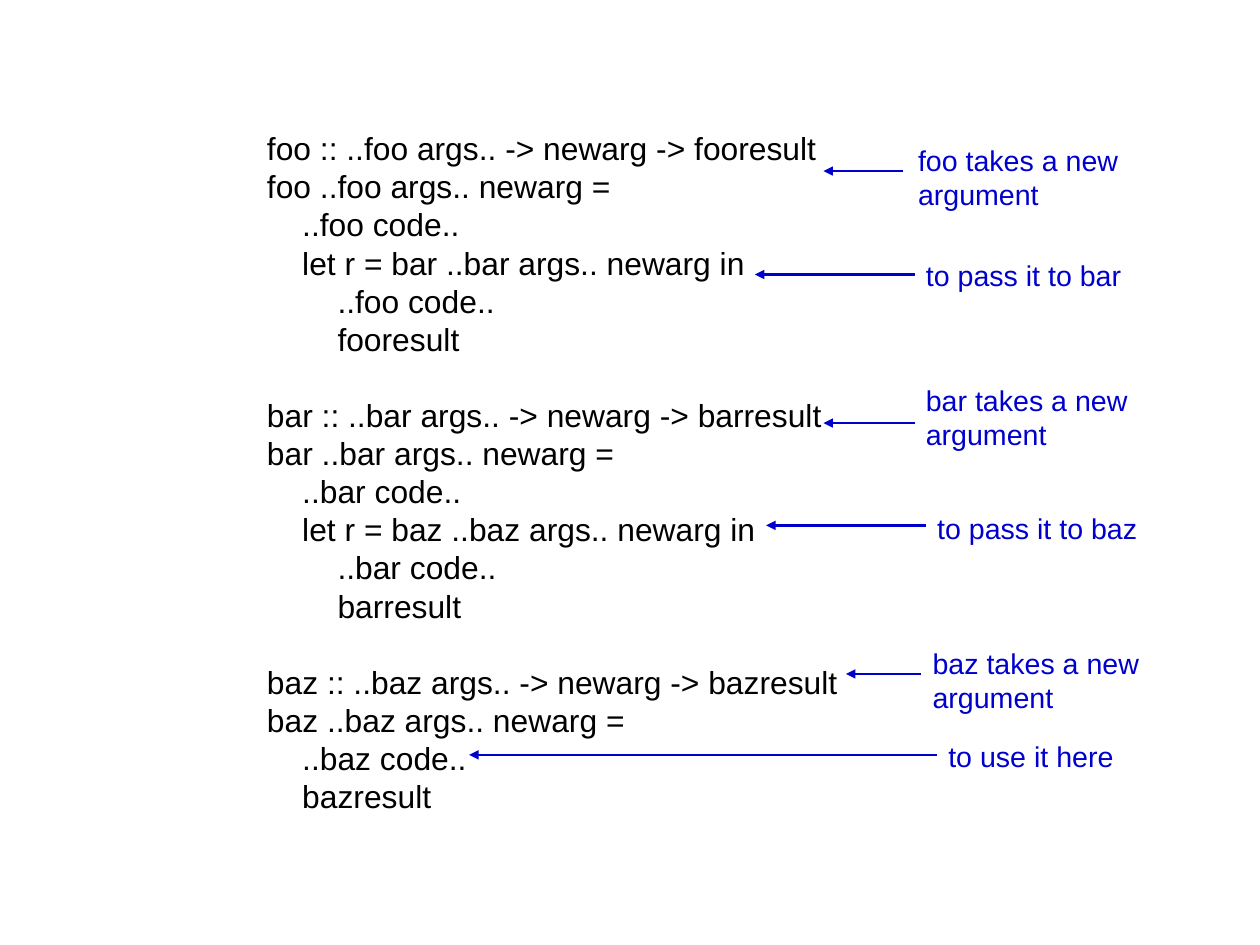
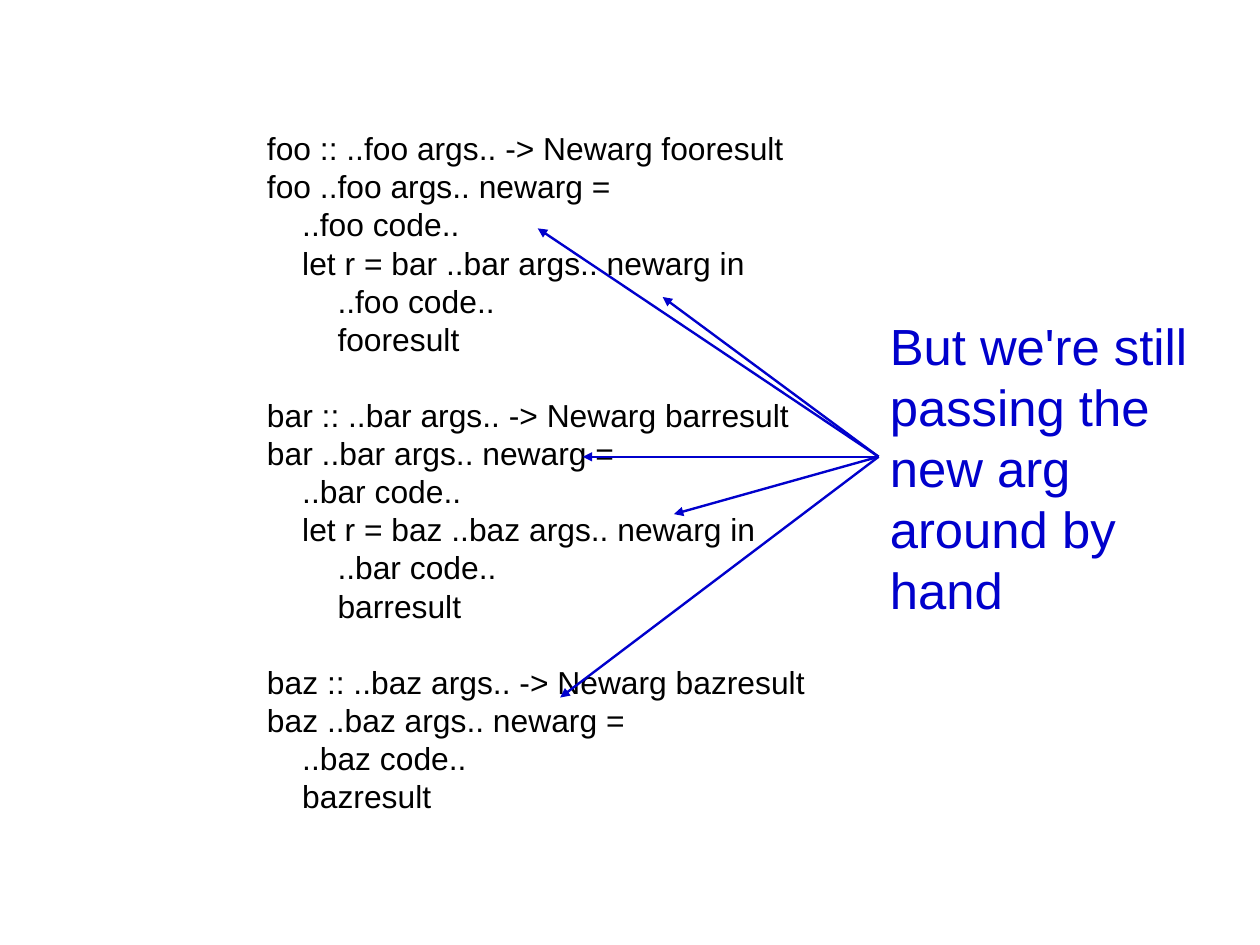
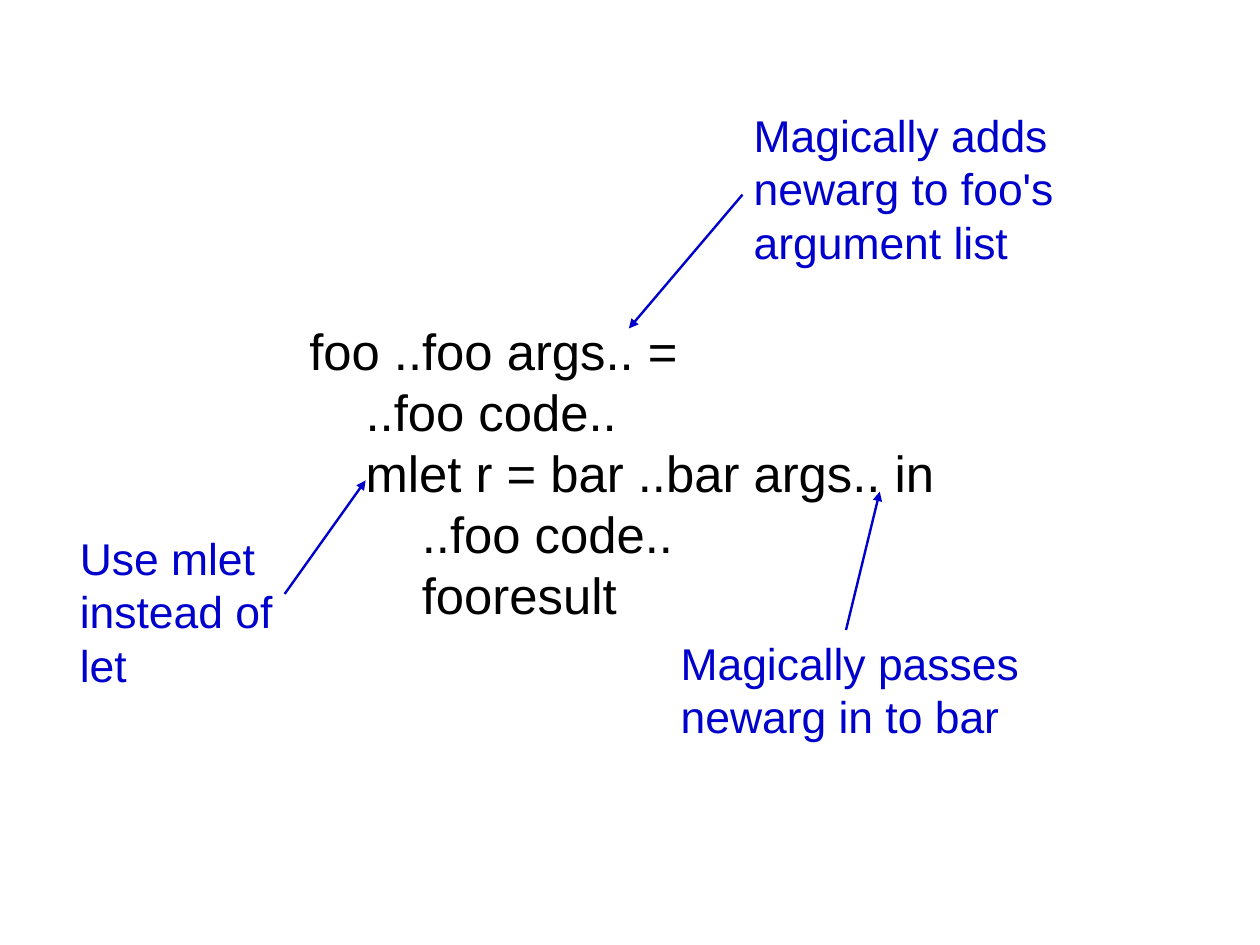
from collections import namedtuple

from lxml.etree import SubElement
from pptx import Presentation
from pptx.dml.color import RGBColor
from pptx.enum.shapes import MSO_CONNECTOR as Connector
from pptx.enum.text import MSO_ANCHOR as Anchor, MSO_AUTO_SIZE as AutoSize
from pptx.oxml.ns import qn
from pptx.util import Emu, Pt

EMU_PER_PX = 9000
BLACK = RGBColor(0x00, 0x00, 0x00)
WHITE = RGBColor(0xFF, 0xFF, 0xFF)
BLUE = RGBColor(0x00, 0x00, 0xCC)
FONT = "Arial"

Box = namedtuple("Box", "left top width height")
Callout = namedtuple("Callout", "box lines start reaches")

LISTING_BOX = Box(206, 133, 707, 573)
MLET_BOX = Box(275, 291, 570, 257)
CALLS = (("foo", "bar"), ("bar", "baz"), ("baz", None))

ARGUMENT_CALLOUTS = (
    Callout(Box(806, 122, 201, 67), ["foo takes a new", "argument"], (-3, 30), [(-71, 0)]),
    Callout(Box(813, 224, 197, 39), ["to pass it to bar"], (0, 20), [(-142, 0)]),
    Callout(Box(813, 335, 202, 67), ["bar takes a new", "argument"], (0, 41), [(-81, 0)]),
    Callout(Box(823, 449, 201, 39), ["to pass it to baz"], (0, 18), [(-142, 0)]),
    Callout(Box(819, 569, 206, 67), ["baz takes a new", "argument"], (0, 30), [(-67, 0)]),
    Callout(Box(833, 652, 170, 39), ["to use it here"], (0, 19), [(-416, 0)]),
)
BY_HAND_CALLOUTS = (
    Callout(
        Box(781, 275, 288, 263),
        ["But we're still", "passing the", "new arg", "around by", "hand"],
        (0, 131),
        [(-192, -142), (-303, -203), (-263, 0), (-182, 51), (-283, 214)],
    ),
)
MLET_CALLOUTS = (
    Callout(Box(660, 91, 290, 142), ["Magically adds", "newarg to foo's", "argument list"],
            (0, 82), [(-101, 119)]),
    Callout(Box(595, 560, 321, 99), ["Magically passes", "newarg in to bar"],
            (157, 0), [(30, -123)]),
    Callout(Box(61, 467, 195, 142), ["Use mlet", "instead of", "let"],
            (192, 61), [(72, -101)]),
)
MLET_CODE = [
    "foo ..foo args.. =",
    "    ..foo code..",
    "    mlet r = bar ..bar args.. in",
    "        ..foo code..",
    "        fooresult",
]


def px(length):
    return Emu(length * EMU_PER_PX)


def set_attributes(target, values):
    for name, value in values.items():
        setattr(target, name, value)


def add_text(slide, box, blocks, size, color, frame_format):
    shape = slide.shapes.add_textbox(*map(px, box))
    frame = shape.text_frame
    set_attributes(frame, {"auto_size": AutoSize.SHAPE_TO_FIT_TEXT, **frame_format})
    lines = [(text, row) for block in blocks for row, text in enumerate(block)]
    for index, (text, row) in enumerate(lines):
        paragraph = frame.add_paragraph() if index else frame.paragraphs[0]
        paragraph.text = text
        if index and row == 0:
            paragraph.space_before = Pt(size * 1.2)
        set_attributes(paragraph.font, {"name": FONT, "size": Pt(size)})
        paragraph.font.color.rgb = color


def add_code(slide, box, blocks, size):
    add_text(slide, box, blocks, size, BLACK, {
        "word_wrap": True,
        "vertical_anchor": Anchor.MIDDLE,
        "margin_left": 0,
        "margin_top": 0,
        "margin_right": 0,
        "margin_bottom": 0,
    })


def add_arrow(slide, x, y, reach):
    ends = (x, y, x + reach[0], y + reach[1])
    arrow = slide.shapes.add_connector(Connector.STRAIGHT, *map(px, ends))
    arrow.line.color.rgb = BLUE
    arrow.line.width = Pt(1.5)
    properties = arrow._element.spPr
    SubElement(properties.find(qn("a:ln")), qn("a:tailEnd"), type="triangle")
    SubElement(properties, qn("a:effectLst"))


def add_callout(slide, callout, size):
    box = callout.box
    add_text(slide, box, [callout.lines], size, BLUE, {"word_wrap": False})
    for reach in callout.reaches:
        add_arrow(slide, box.left + callout.start[0], box.top + callout.start[1], reach)


def function_code(name, callee, result_type):
    code = [
        f"    {name} :: ..{name} args.. -> {result_type}{name}result",
        f"    {name} ..{name} args.. newarg =",
        f"        ..{name} code..",
    ]
    indent = "        "
    if callee:
        code.append(f"{indent}let r = {callee} ..{callee} args.. newarg in")
        indent += "    "
        code.append(f"{indent}..{name} code..")
    return code + [f"{indent}{name}result"]


def listing(result_type):
    return [function_code(name, callee, result_type) for name, callee in CALLS]


def add_code_slide(presentation, box, blocks, code_size, callouts, callout_size):
    slide = presentation.slides.add_slide(presentation.slide_layouts[6])
    slide.background.fill.solid()
    slide.background.fill.fore_color.rgb = WHITE
    add_code(slide, box, blocks, code_size)
    for callout in callouts:
        add_callout(slide, callout, callout_size)


def main():
    presentation = Presentation()
    set_attributes(presentation, {"slide_width": px(1120), "slide_height": px(840)})
    add_code_slide(presentation, LISTING_BOX, listing("newarg -> "), 20, ARGUMENT_CALLOUTS, 18)
    add_code_slide(presentation, LISTING_BOX, listing("Newarg "), 20, BY_HAND_CALLOUTS, 32)
    add_code_slide(presentation, MLET_BOX, [MLET_CODE], 32, MLET_CALLOUTS, 28)
    presentation.save("out.pptx")


if __name__ == "__main__":
    main()
